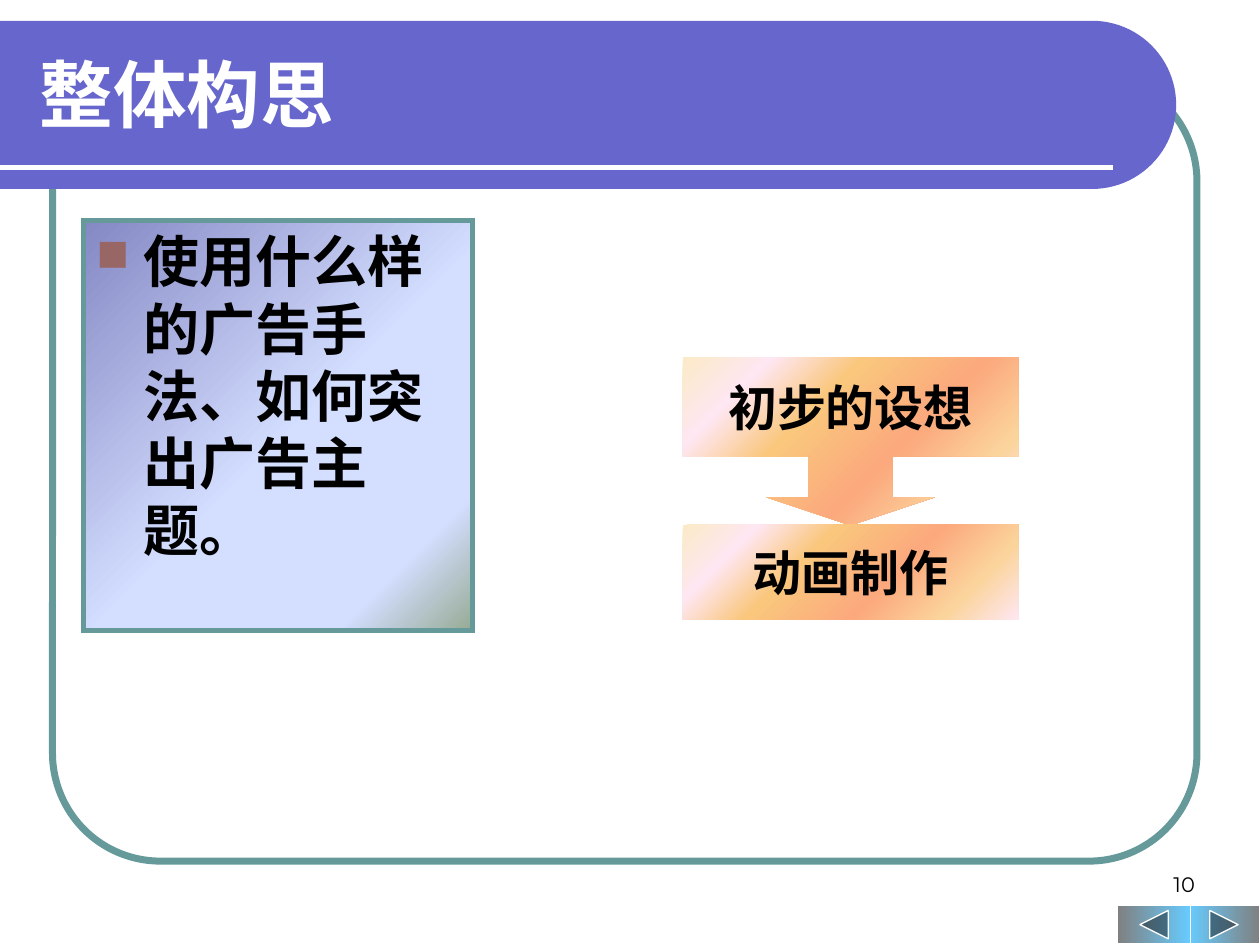
from lxml import etree
from pptx import Presentation
from pptx.dml.color import RGBColor
from pptx.enum.shapes import MSO_CONNECTOR, MSO_SHAPE
from pptx.enum.text import MSO_ANCHOR, MSO_AUTO_SIZE, PP_ALIGN
from pptx.oxml.ns import qn
from pptx.util import Cm, Pt

LEFT, CENTER, RIGHT = PP_ALIGN.LEFT, PP_ALIGN.CENTER, PP_ALIGN.RIGHT
TOP, MIDDLE, BOTTOM = MSO_ANCHOR.TOP, MSO_ANCHOR.MIDDLE, MSO_ANCHOR.BOTTOM
NO_AUTOFIT = MSO_AUTO_SIZE.NONE

WHITE = RGBColor(0xFF, 0xFF, 0xFF)
BLACK = RGBColor(0x00, 0x00, 0x00)
PURPLE = RGBColor(0x66, 0x66, 0xCC)
TEAL = RGBColor(0x66, 0x99, 0x99)
BROWN = RGBColor(0x99, 0x66, 0x66)
GRAY = RGBColor(0x80, 0x80, 0x80)
SKY = RGBColor(0x66, 0xCC, 0xFF)
INDIGO = RGBColor(0x84, 0x88, 0xC4)
PALE_BLUE = RGBColor(0xD4, 0xDE, 0xFF)
SAGE = RGBColor(0x96, 0xAB, 0x94)
CREAM = RGBColor(0xFB, 0xEA, 0xC7)
PINK = RGBColor(0xFE, 0xE7, 0xF2)
AMBER = RGBColor(0xFA, 0xC7, 0x7D)
SALMON = RGBColor(0xFB, 0xA9, 0x7D)
SAND = RGBColor(0xFB, 0xD4, 0x9C)

DAYBREAK = [(0, INDIGO), (53, PALE_BLUE), (83, PALE_BLUE), (100, SAGE)]
SUNRISE = [(0, CREAM), (18, PINK), (36, AMBER), (61, SALMON), (82, SAND), (100, PINK)]


def fill_gradient(shape, stops, angle):
    """Fill with (percent, colour) stops; the angle runs clockwise."""
    shape.shadow.inherit = False
    shape.fill.gradient()
    shape.fill.gradient_angle = -angle % 360
    stop_list = shape._element.spPr.find(qn("a:gradFill")).find(qn("a:gsLst"))
    for old_stop in list(stop_list):
        stop_list.remove(old_stop)
    for percent, color in stops:
        stop = etree.SubElement(stop_list, qn("a:gs"), pos=str(percent * 1000))
        etree.SubElement(stop, qn("a:srgbClr"), val=str(color))


def write(shape, text, size, color=BLACK, font="Arial", bold=True,
          align=CENTER, anchor=MIDDLE, wrap=True):
    frame = shape.text_frame
    frame.auto_size = NO_AUTOFIT
    frame.word_wrap = wrap
    frame.vertical_anchor = anchor
    para = frame.paragraphs[0]
    para.alignment = align
    span = para.add_run()
    span.text = text
    span.font.name = font
    span.font.size = Pt(size)
    span.font.bold = bold
    span.font.color.rgb = color
    return para


deck = Presentation()
deck.slide_width, deck.slide_height = Cm(25.4), Cm(19.05)
page = deck.slides.add_slide(deck.slide_layouts[5])
shapes = page.shapes

# Frame and title band
frame_box = shapes.add_shape(MSO_SHAPE.ROUNDED_RECTANGLE, Cm(1.06), Cm(1.48), Cm(23.07), Cm(15.88))
frame_box.adjustments[0] = 0.137
frame_box.shadow.inherit = False
frame_box.fill.background()
frame_box.line.color.rgb = TEAL
frame_box.line.width = Pt(4)

# The band is an upright shape with a round top, turned to the right
band = shapes.add_shape(MSO_SHAPE.ROUND_2_SAME_RECTANGLE, Cm(10.16), Cm(-9.74), Cm(3.39), Cm(23.71))
band.adjustments[0] = 0.5
band.rotation = 90
band.shadow.inherit = False
band.fill.solid()
band.fill.fore_color.rgb = PURPLE
band.line.fill.background()

rule = shapes.add_connector(MSO_CONNECTOR.STRAIGHT, Cm(0), Cm(3.38), Cm(22.44), Cm(3.38))
rule.line.color.rgb = WHITE
rule.line.width = Pt(3)
etree.SubElement(rule._element.spPr, qn("a:effectLst"))

# Navigation buttons and page number
for kind, left, width, stops in (
    (MSO_SHAPE.ACTION_BUTTON_FORWARD_OR_NEXT, 23.95, 1.45, [(0, SKY), (100, GRAY)]),
    (MSO_SHAPE.ACTION_BUTTON_BACK_OR_PREVIOUS, 22.53, 1.47, [(0, GRAY), (100, SKY)]),
):
    button = shapes.add_shape(kind, Cm(left), Cm(18.26), Cm(width), Cm(0.76))
    fill_gradient(button, stops, 0)
    button.line.color.rgb = WHITE
    button.line.width = Pt(0.75)

number_box = shapes.add_textbox(Cm(18.41), Cm(16.93), Cm(5.93), Cm(1.27))
write(number_box, "10", 12, font="Montserrat", bold=False, align=RIGHT, anchor=BOTTOM)

# Title, brought in front of the band
title = shapes.title
title.left, title.top, title.width, title.height = Cm(0.55), Cm(0.61), Cm(22.28), Cm(2.54)
write(title, "整体构思", 42, color=WHITE, align=LEFT)
shapes._spTree.append(title._element)

# Question panel
panel = shapes.add_shape(MSO_SHAPE.RECTANGLE, Cm(1.69), Cm(4.45), Cm(7.83), Cm(8.26))
fill_gradient(panel, DAYBREAK, 45)
panel.line.color.rgb = TEAL
panel.line.width = Pt(3)
etree.SubElement(panel.line._ln, qn("a:miter"), lim="800000")
para = write(panel, "使用什么样的广告手法、如何突出广告主题。", 32, align=LEFT, anchor=TOP)
properties = para._p.get_or_add_pPr()
properties.set("marL", str(Cm(0.95)))
properties.set("indent", str(Cm(-0.95)))
properties.set("hangingPunct", "0")
bullet_color = etree.SubElement(properties, qn("a:buClr"))
etree.SubElement(bullet_color, qn("a:srgbClr"), val=str(BROWN))
etree.SubElement(properties, qn("a:buSzPct"), val="80000")
etree.SubElement(properties, qn("a:buFont"), typeface="Wingdings", charset="2")
etree.SubElement(properties, qn("a:buChar"), char="n")

# Two steps, the first pointing down to the second
for kind, top, height, text in (
    (MSO_SHAPE.DOWN_ARROW_CALLOUT, 7.2, 3.39, "初步的设想"),
    (MSO_SHAPE.RECTANGLE, 10.58, 1.91, "动画制作"),
):
    step = shapes.add_shape(kind, Cm(13.76), Cm(top), Cm(6.77), Cm(height))
    if kind == MSO_SHAPE.DOWN_ARROW_CALLOUT:
        for index, value in enumerate((0.5, 0.5, 0.167, 0.591)):
            step.adjustments[index] = value
    fill_gradient(step, SUNRISE, 45)
    step.line.fill.background()
    write(step, text, 28, wrap=False)

deck.save("out.pptx")
